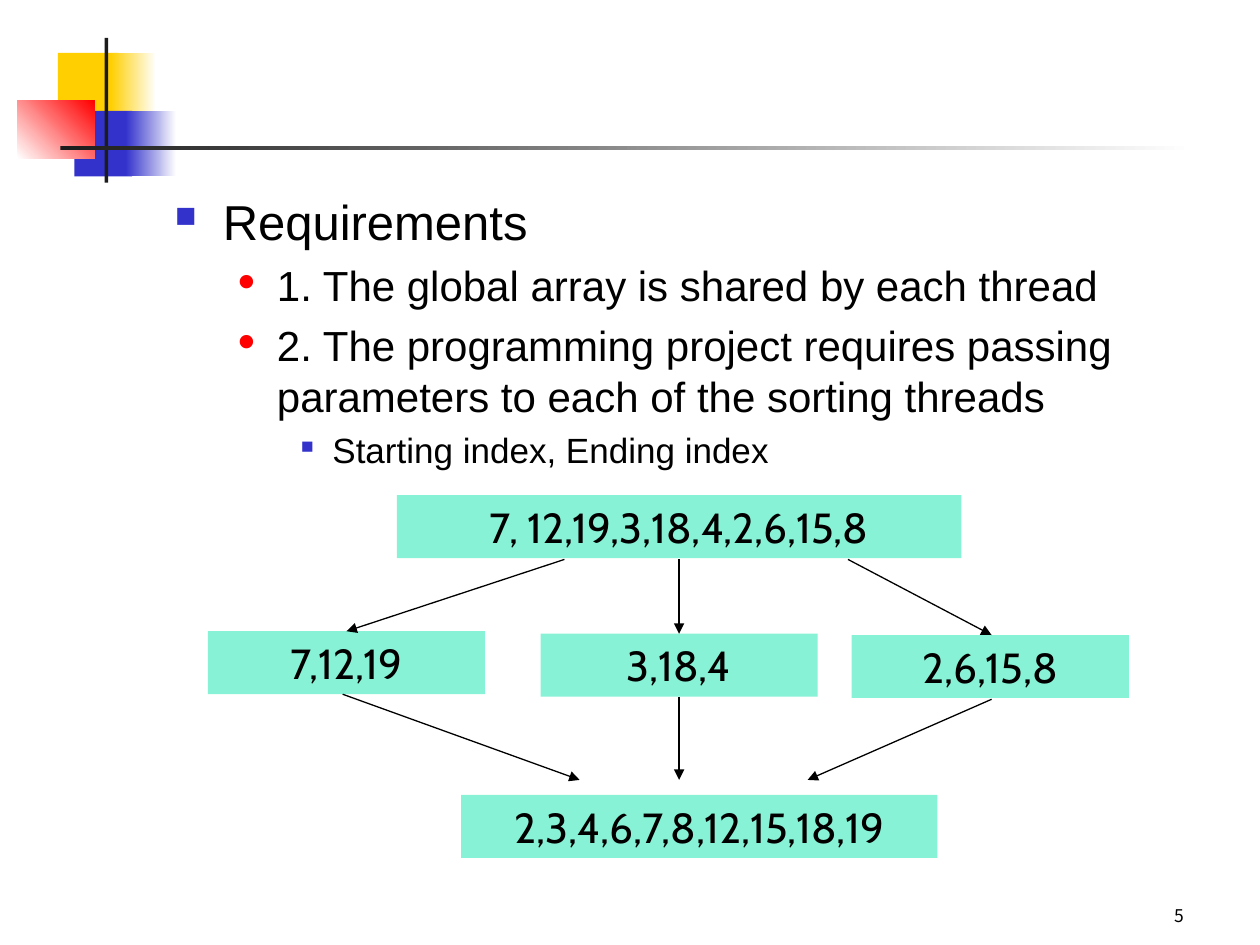
"""Build the slide on sorting an array with several threads."""
import dataclasses

import pptx
import pptx.dml.color
import pptx.enum.shapes
import pptx.enum.text
import pptx.oxml.ns
import pptx.oxml.xmlchemy
import pptx.util

Inches, Pt = pptx.util.Inches, pptx.util.Pt
Align = pptx.enum.text.PP_ALIGN
Anchor = pptx.enum.text.MSO_ANCHOR
qn = pptx.oxml.ns.qn


@dataclasses.dataclass(frozen=True)
class Theme:
    """Colours, fonts and type sizes of the slide."""
    yellow: str = "FFCF01"
    blue: str = "3333CC"
    red: str = "FF0000"
    dark: str = "1C1C1C"
    white: str = "FFFFFF"
    black: str = "000000"
    mint: str = "00E4A8"
    mint_alpha: int = 47
    body_font: str = "Arial"
    array_font: str = "Cabin"
    number_font: str = "Noto Sans CJK KR"
    bullet_font: str = "Wingdings"
    body_sizes: tuple = (28, 24, 20)
    array_size: int = 24
    number_size: int = 10
    line_width: float = 0.75


THEME = Theme()
BULLETS = (
    ("n", THEME.blue, 60, 0.38, 0.38),
    ("l", THEME.red, 55, 0.81, 0.31),
    ("n", THEME.blue, 50, 1.25, 0.25),
)
REQUIREMENTS = (
    (0, "Requirements "),
    (1, "1. The global array is shared by each thread"),
    (1, "2. The programming project requires passing parameters "
        "to each of the sorting threads"),
    (2, "Starting index, Ending index"),
)
DECORATION = (
    ((0.46, 0.42, 0.48, 0.52), (THEME.yellow,), 0),
    ((0.88, 0.42, 0.36, 0.52), (THEME.yellow, THEME.white), 0),
    ((0.59, 0.88, 0.46, 0.52), (THEME.blue,), 0),
    ((1, 0.88, 0.4, 0.52), (THEME.blue, THEME.white), 0),
    ((0.14, 0.8, 0.61, 0.46), (THEME.white, THEME.red), 45),
    ((0.83, 0.3, 0.03, 1.15), (THEME.dark,), 0),
    ((0.48, 1.16, 9, 0.03), (THEME.dark, THEME.white), 0),
)
ARRAYS = (
    (3.15, 3.93, 4.48, "7, 12,19,3,18,4,2,6,15,8"),
    (1.65, 5.01, 2.2, "7,12,19"),
    (4.29, 5.03, 2.2, "3,18,4"),
    (6.76, 5.04, 2.2, "2,6,15,8"),
    (3.66, 6.31, 3.78, "2,3,4,6,7,8,12,15,18,19"),
)
ARROWS = (
    (4.48, 4.44, 2.75, 5.01),
    (5.39, 4.44, 5.39, 5.03),
    (6.73, 4.44, 7.87, 5.04),
    (2.72, 5.51, 4.6, 6.19),
    (5.39, 5.53, 5.39, 6.19),
    (7.87, 5.55, 6.41, 6.19),
)


def rgb(color):
    """Return a colour object for a hex string."""
    return pptx.dml.color.RGBColor.from_string(color)


def add_child(parent, tag, **attributes):
    """Append a drawing element with attributes and return it."""
    child = pptx.oxml.xmlchemy.OxmlElement(tag)
    for name, value in attributes.items():
        child.set(name, str(value))
    parent.append(child)
    return child


def style_paragraph(p, font, size, align=Align.LEFT):
    """Set the alignment of a paragraph and the font of its runs."""
    p.alignment = align
    for r in p.runs:
        r.font.name = font
        r.font.size = Pt(size)
        r.font.color.rgb = rgb(THEME.black)


def add_block(s, box, colors, angle=0):
    """Add a rectangle with a solid fill or a two-colour gradient."""
    sp = s.shapes.add_shape(pptx.enum.shapes.MSO_SHAPE.RECTANGLE,
                            *map(Inches, box))
    sp.shadow.inherit = False
    sp.line.fill.background()
    if len(colors) == 1:
        sp.fill.solid()
        sp.fill.fore_color.rgb = rgb(colors[0])
        return sp
    sp.fill.gradient()
    sp.fill.gradient_angle = angle
    for position, (stop, color) in enumerate(zip(sp.fill.gradient_stops, colors)):
        stop.color.rgb = rgb(color)
        stop.position = position
    return sp


def add_array(s, left, top, width, text):
    """Add a translucent box that shows the values of an array."""
    sp = add_block(s, (left, top, width, 0.5), (THEME.mint,))
    color = next(sp.element.spPr.iter(qn("a:srgbClr")))
    add_child(color, "a:alpha", val=THEME.mint_alpha * 1000)
    tf = sp.text_frame
    tf.text = text
    tf.vertical_anchor = Anchor.TOP
    style_paragraph(tf.paragraphs[0], THEME.array_font, THEME.array_size,
                    Align.CENTER)


def add_arrow(s, x1, y1, x2, y2):
    """Add a thin line with an arrowhead at its end."""
    line = s.shapes.add_connector(pptx.enum.shapes.MSO_CONNECTOR.STRAIGHT,
                                  *map(Inches, (x1, y1, x2, y2)))
    line.line.color.rgb = rgb(THEME.black)
    line.line.width = Pt(THEME.line_width)
    add_child(line.element.spPr.get_or_add_ln(), "a:tailEnd", type="triangle")
    add_child(line.element.spPr, "a:effectLst")


def add_text_box(s, box):
    """Add a wrapping text box and return its text frame."""
    tf = s.shapes.add_textbox(*map(Inches, box)).text_frame
    tf.word_wrap = True
    return tf


def add_bullet(p, level):
    """Give a paragraph the indent and bullet of its level."""
    char, color, percent, margin, hang = BULLETS[level]
    pPr = p._p.get_or_add_pPr()
    pPr.set("marL", str(Inches(margin)))
    pPr.set("indent", str(-Inches(hang)))
    add_child(add_child(pPr, "a:buClr"), "a:srgbClr", val=color)
    add_child(pPr, "a:buSzPct", val=percent * 1000)
    add_child(pPr, "a:buFont", typeface=THEME.bullet_font)
    add_child(pPr, "a:buChar", char=char)


def add_requirements(s):
    """Add the bulleted list of requirements."""
    tf = add_text_box(s, (1.29, 1.47, 8.5, 5.43))
    for i, (level, text) in enumerate(REQUIREMENTS):
        p = tf.add_paragraph() if i else tf.paragraphs[0]
        p.text = text
        p.level = level
        size = THEME.body_sizes[level]
        p.space_before = Pt(round(size * 0.23, 1))
        style_paragraph(p, THEME.body_font, size)
        add_bullet(p, level)


def add_slide_number(s):
    """Add the slide number at the lower right."""
    tf = add_text_box(s, (7.42, 7.06, 2.08, 0.34))
    tf.text = "5"
    tf.vertical_anchor = Anchor.BOTTOM
    style_paragraph(tf.paragraphs[0], THEME.number_font, THEME.number_size,
                    Align.RIGHT)


def main():
    """Build the slide and save it."""
    prs = pptx.Presentation()
    prs.slide_width, prs.slide_height = Inches(10), Inches(7.5)
    s = prs.slides.add_slide(prs.slide_layouts[6])
    for block in DECORATION:
        add_block(s, *block)
    add_requirements(s)
    add_slide_number(s)
    for array in ARRAYS:
        add_array(s, *array)
    for arrow in ARROWS:
        add_arrow(s, *arrow)
    prs.save("out.pptx")


main()
